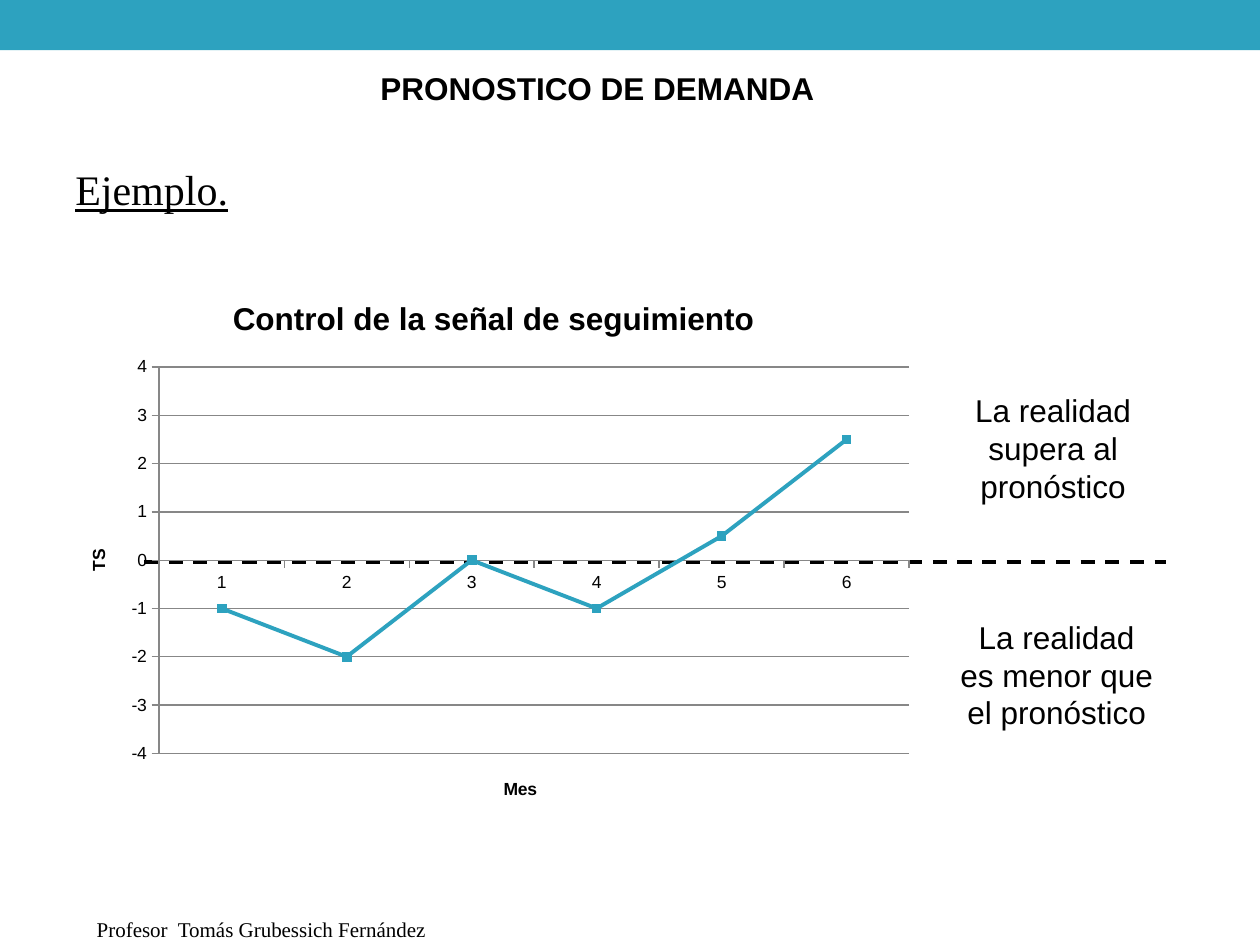
from lxml.etree import SubElement
from pptx import Presentation
from pptx.chart.data import CategoryChartData
from pptx.dml.color import RGBColor
from pptx.enum.chart import XL_CHART_TYPE, XL_MARKER_STYLE, XL_TICK_MARK
from pptx.enum.dml import MSO_LINE
from pptx.enum.shapes import MSO_CONNECTOR, MSO_SHAPE
from pptx.enum.text import PP_ALIGN
from pptx.oxml import parse_xml
from pptx.oxml.ns import nsdecls, qn
from pptx.util import Cm, Pt

TEAL, BLACK, GRAY = "2DA2BF", "000000", "878787"


def color(value):
    return RGBColor.from_string(value)


def add_text(page, text, left, top, width, height, size=18, font="Arial",
             bold=False, underline=False, align=PP_ALIGN.LEFT, wrap=True):
    """Add a text box; lengths are in centimetres, size in points."""
    box = page.shapes.add_textbox(Cm(left), Cm(top), Cm(width), Cm(height))
    box.text_frame.word_wrap = wrap
    para = box.text_frame.paragraphs[0]
    para.alignment = align
    span = para.add_run()
    span.text = text
    span.font.size = Pt(size)
    span.font.name = font
    span.font.bold = bold
    span.font.underline = underline
    span.font.color.rgb = color(BLACK)


deck = Presentation()
deck.slide_width, deck.slide_height = Cm(25.4), Cm(19.05)
page = deck.slides.add_slide(deck.slide_layouts[6])

# Header band, headings and footer
band = page.shapes.add_shape(MSO_SHAPE.RECTANGLE, 0, 0, deck.slide_width, Cm(1.01))
band.shadow.inherit = False
band.fill.solid()
band.fill.fore_color.rgb = color(TEAL)
band.line.fill.background()

add_text(page, "Profesor  Tomás Grubessich Fernández", 1.7, 18.36, 22, 0.76,
         size=12, font="Times New Roman")
add_text(page, "PRONOSTICO DE DEMANDA", 7.42, 1.27, 12.2, 1.27, bold=True, wrap=False)
add_text(page, "Ejemplo.", 1.27, 3.18, 22.22, 3.3, size=24,
         font="Times New Roman", underline=True, align=PP_ALIGN.JUSTIFY)

# Dashed zero line, behind the chart
zero_line = page.shapes.add_connector(
    MSO_CONNECTOR.STRAIGHT, Cm(2.9), Cm(11.33), Cm(23.5), Cm(11.33))
zero_line.line.color.rgb = color(BLACK)
zero_line.line.width = Pt(2)
zero_line.line.dash_style = MSO_LINE.DASH
SubElement(zero_line._element.spPr, qn("a:effectLst"))

# Meaning of each half of the chart
for text, left, top in (
    ("La realidad supera al pronóstico", 19.03, 7.76),
    ("La realidad es menor que el pronóstico", 19.1, 12.33),
):
    add_text(page, text, left, top, 4.4, 2.57, align=PP_ALIGN.CENTER)

# Tracking signal chart
data = CategoryChartData()
data.categories = ["1", "2", "3", "4", "5", "6"]
data.add_series("Series 1", (-1, -2, 0, -1, 0.5, 2.5))
chart = page.shapes.add_chart(
    XL_CHART_TYPE.LINE_MARKERS, Cm(1.24), Cm(5.54), Cm(17.42), Cm(11.13), data).chart
chart.has_legend = False
chart.font.name = "Arial"
chart.font.size = Pt(10)
chart.font.color.rgb = color(BLACK)

value_axis, month_axis = chart.value_axis, chart.category_axis
for part, title, size in (
    (chart, "Control de la señal de seguimiento", 18),
    (month_axis, "Mes", 10),
    (value_axis, "TS", 10),
):
    part.has_title = True
    frame = (part.chart_title if part is chart else part.axis_title).text_frame
    frame.text = title
    font = frame.paragraphs[0].runs[0].font
    font.name = "Arial"
    font.size = Pt(size)
    font.bold = True
    font.color.rgb = color(BLACK)

value_axis.minimum_scale, value_axis.maximum_scale = -4, 4
value_axis.major_unit = 1
value_axis.has_major_gridlines = True
value_axis.tick_labels.number_format = "0"
value_axis.tick_labels.number_format_is_linked = False
for axis in (value_axis, month_axis):
    axis.major_tick_mark = XL_TICK_MARK.OUTSIDE
    axis.minor_tick_mark = XL_TICK_MARK.NONE
for owner in (value_axis, month_axis, value_axis.major_gridlines):
    owner.format.line.color.rgb = color(GRAY)
    owner.format.line.width = Pt(0.75)

series = chart.plots[0].series[0]
series.smooth = False
series.format.line.color.rgb = color(TEAL)
series.format.line.width = Pt(2.25)
series.marker.style = XL_MARKER_STYLE.SQUARE
series.marker.size = 5
series.marker.format.fill.solid()
series.marker.format.fill.fore_color.rgb = color(TEAL)
series.marker.format.line.color.rgb = color(TEAL)

# Fixed plot area, and a clear background that lets the zero line show
plot_area = chart._chartSpace.chart.plotArea
for old_layout in plot_area.findall(qn("c:layout")):
    plot_area.remove(old_layout)
plot_area.insert(0, parse_xml(
    f'<c:layout {nsdecls("c")}><c:manualLayout><c:layoutTarget val="inner"/>'
    '<c:xMode val="edge"/><c:yMode val="edge"/><c:x val="0.113"/><c:y val="0.167"/>'
    '<c:w val="0.868"/><c:h val="0.7"/></c:manualLayout></c:layout>'))
chart._chartSpace.chart.addnext(parse_xml(
    f'<c:spPr {nsdecls("c", "a")}><a:noFill/><a:ln><a:noFill/></a:ln></c:spPr>'))

deck.save("out.pptx")
